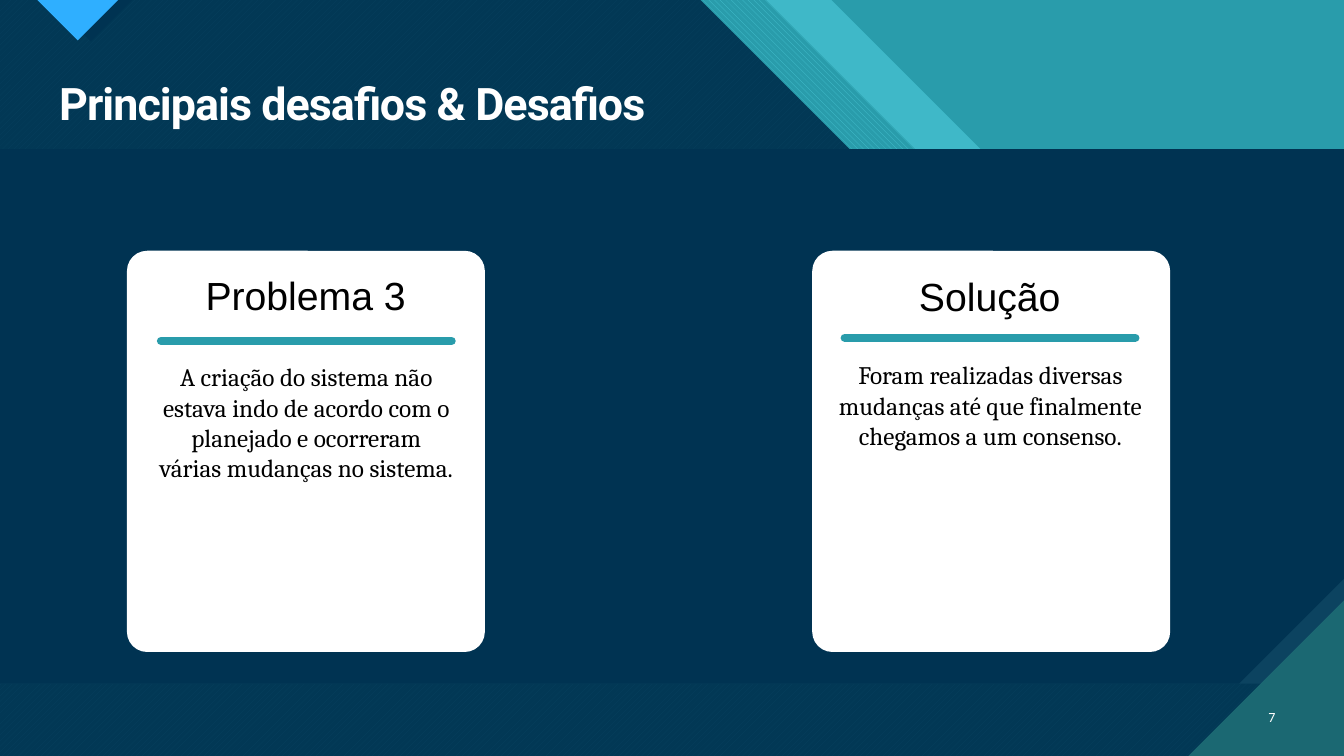
"""Build the slide that sets the third problem beside its solution."""
from lxml.etree import SubElement
from pptx import Presentation
from pptx.dml.color import RGBColor
from pptx.enum.dml import MSO_PATTERN as Pattern
from pptx.enum.shapes import MSO_CONNECTOR as Connector, MSO_SHAPE as Shape
from pptx.enum.text import MSO_ANCHOR as Anchor, PP_ALIGN as Align
from pptx.oxml.ns import qn
from pptx.util import Cm, Pt

WIDTH, HEIGHT = 33.87, 19.05
COLORS = {
    "navy": "003352", "steel": "0C4360", "deep": "1B6872", "teal": "299CAB",
    "aqua": "47C3D3", "sky": "2FAFFF", "white": "FFFFFF", "black": "000000",
}
STYLES = {
    "title": {"name": "Roboto", "size": Pt(32), "bold": True, "color": "white"},
    "heading": {"name": "Arial", "size": Pt(28), "color": "black"},
    "body": {"name": "Cambria", "size": Pt(18), "color": "black"},
    "number": {"name": "Calibri", "size": Pt(10), "color": "white"},
}
TITLE = ("Principais desafios & Desafios", (1.24, 1.5, 31.14, 1.78))
PAGE_NUMBER = ("7", (31.27, 17.55, 1.12, 1.02))
CARD_TOP, CARD_WIDTH, CARD_HEIGHT, CARD_RADIUS = 6.32, 9.02, 10.11, 0.51
RULE_LENGTH = 7.32
CARDS = [
    {
        "left": 3.2,
        "heading": ("Problema 3", (4.93, 6.71, 6.05, 1.45)),
        "rule": (4.06, 8.59),
        "body": ("A criação do sistema não estava indo de acordo com o planejado "
                 "e ocorreram várias mudanças no sistema.", (3.73, 8.99, 7.98, 4.11)),
    },
    {
        "left": 20.47,
        "heading": ("Solução", (22.91, 6.73, 4.75, 1.45)),
        "rule": (21.29, 8.51),
        "body": ("Foram realizadas diversas mudanças até que finalmente chegamos "
                 "a um consenso.", (20.73, 8.94, 8.46, 3.33)),
    },
]
BAND_DROP, BAND_LEDGE = 7.55, 3.18
BANDS = [
    (20.95, {"color": "aqua", "alpha": 74}),
    (19.3, {"color": "aqua", "back": "teal", "pattern": Pattern.WIDE_DOWNWARD_DIAGONAL}),
    (17.65, {"color": "aqua", "back": "deep", "pattern": Pattern.WIDE_UPWARD_DIAGONAL}),
    (17.65, {"color": "navy", "alpha": 90}),
]
PANEL_TOP, PANEL_BOTTOM, PANEL_SNIP = 3.76, 17.23, 2.65
CORNER = 3.92
ACCENTS = [
    ([(1.22, 0), (3.33, 0), (2.29, 1.04)], "navy"),
    ([(0.94, 0), (2.98, 0), (1.96, 1.02)], "sky"),
]


def rgb(name):
    return RGBColor.from_string(COLORS[name])


def paint(shape, color, alpha=None, back=None, pattern=None):
    shape.shadow.inherit = False
    shape.line.fill.background()
    if pattern is None:
        shape.fill.solid()
        shape.fill.fore_color.rgb = rgb(color)
    else:
        shape.fill.patterned()
        shape.fill.pattern = pattern
        shape.fill.fore_color.rgb = rgb(color)
        shape.fill.back_color.rgb = rgb(back)
    if alpha:
        tint = shape.element.spPr.find(".//" + qn("a:srgbClr"))
        SubElement(tint, qn("a:alpha")).set("val", str(alpha * 1000))


def add_polygon(slide, points, **look):
    start, *others = [(Cm(x), Cm(y)) for x, y in points]
    builder = slide.shapes.build_freeform(*start, scale=1.0)
    builder.add_line_segments(others, close=True)
    paint(builder.convert_to_shape(), **look)


def band_points(top_x):
    ledge_start = top_x + BAND_DROP
    ledge_end = ledge_start + BAND_LEDGE
    return [(0, 0), (top_x, 0), (ledge_start, BAND_DROP), (ledge_end, BAND_DROP),
            (WIDTH, BAND_DROP + WIDTH - ledge_end), (WIDTH, HEIGHT), (0, HEIGHT)]


def add_text(slide, content, style, align=Align.LEFT, anchor=Anchor.TOP):
    words, box = content
    frame = slide.shapes.add_textbox(*map(Cm, box)).text_frame
    frame.word_wrap = True
    frame.vertical_anchor = anchor
    paragraph = frame.paragraphs[0]
    paragraph.alignment = align
    run = paragraph.add_run()
    run.text = words
    for key, value in STYLES[style].items():
        if key == "color":
            run.font.color.rgb = rgb(value)
        else:
            setattr(run.font, key, value)
    return paragraph


def add_rule(slide, x, y):
    rule = slide.shapes.add_connector(
        Connector.STRAIGHT, Cm(x), Cm(y), Cm(x + RULE_LENGTH), Cm(y))
    rule.line.color.rgb = rgb("teal")
    rule.line.width = Pt(6)
    rule.line._get_or_add_ln().set("cap", "rnd")
    SubElement(rule.element.spPr, qn("a:effectLst"))


def add_backdrop(slide):
    slide.background.fill.solid()
    slide.background.fill.fore_color.rgb = rgb("teal")
    for top_x, look in BANDS:
        add_polygon(slide, band_points(top_x), **look)
    for points, color in ACCENTS:
        add_polygon(slide, points, color=color)
    for snip, color in ((0, "steel"), (PANEL_SNIP, "navy")):
        add_polygon(slide, [(0, PANEL_TOP), (WIDTH, PANEL_TOP), (WIDTH, PANEL_BOTTOM - snip),
                            (WIDTH - snip, PANEL_BOTTOM), (0, PANEL_BOTTOM)], color=color)
    add_polygon(slide, [(WIDTH - CORNER, HEIGHT), (WIDTH, HEIGHT), (WIDTH, HEIGHT - CORNER)],
                color="deep")


def add_card(slide, card):
    panel = slide.shapes.add_shape(
        Shape.ROUNDED_RECTANGLE, Cm(card["left"]), Cm(CARD_TOP), Cm(CARD_WIDTH), Cm(CARD_HEIGHT))
    panel.adjustments[0] = CARD_RADIUS / CARD_WIDTH
    paint(panel, "white")
    add_rule(slide, *card["rule"])
    add_text(slide, card["heading"], "heading")
    add_text(slide, card["body"], "body", Align.CENTER)


def main():
    deck = Presentation()
    deck.slide_width, deck.slide_height = Cm(WIDTH), Cm(HEIGHT)
    slide = deck.slides.add_slide(deck.slide_layouts[6])
    add_backdrop(slide)
    title = add_text(slide, TITLE, "title")
    title.line_spacing = 1.2
    title.runs[0].font._element.set("spc", "-70")
    for card in CARDS:
        add_card(slide, card)
    add_text(slide, PAGE_NUMBER, "number", Align.RIGHT, Anchor.MIDDLE)
    deck.save("out.pptx")


if __name__ == "__main__":
    main()
